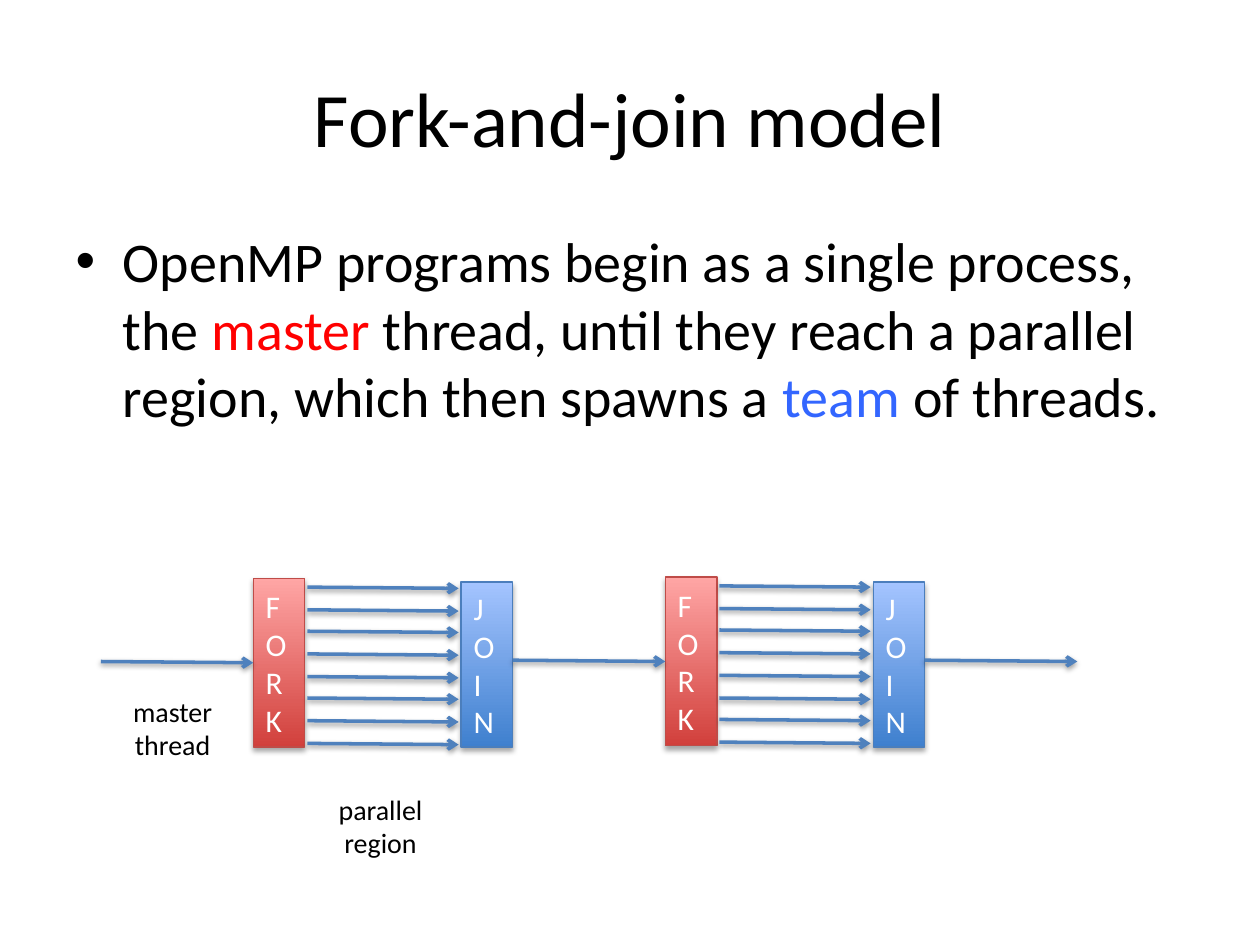
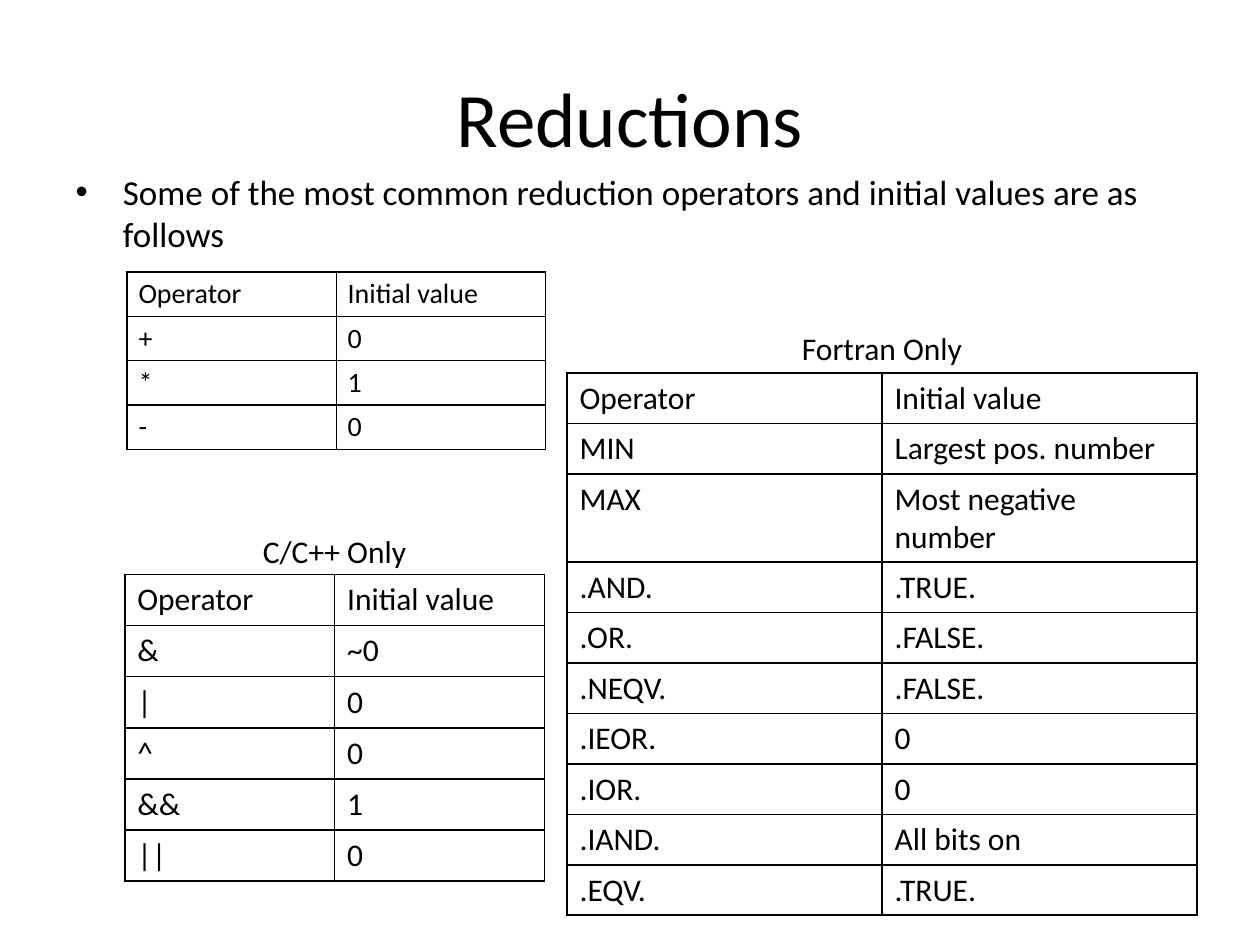
from lxml.etree import SubElement
from pptx import Presentation
from pptx.dml.color import RGBColor
from pptx.enum.shapes import MSO_CONNECTOR, MSO_SHAPE
from pptx.enum.text import MSO_AUTO_SIZE, PP_ALIGN
from pptx.oxml.ns import qn
from pptx.util import Pt

PX = 9144  # EMU per px, 100 px to the inch
FONT = "Calibri"
BLACK = RGBColor(0x00, 0x00, 0x00)
WHITE = RGBColor(0xFF, 0xFF, 0xFF)
RED = RGBColor(0xFF, 0x00, 0x00)
BLUE = RGBColor(0x33, 0x66, 0xFF)
ARROW = RGBColor(0x4F, 0x81, 0xBD)
FORK_DARK = RGBColor(0xD1, 0x40, 0x3C)
FORK_LIGHT = RGBColor(0xFF, 0xA6, 0xA5)
FORK_LINE = RGBColor(0xBF, 0x4C, 0x48)
JOIN_DARK = RGBColor(0x3F, 0x80, 0xCE)
JOIN_LIGHT = RGBColor(0xA4, 0xC4, 0xFF)
JOIN_LINE = RGBColor(0x4B, 0x7E, 0xBC)

BAR_W = 41
TRUNK_W = 121
JOIN_OFFSET = 165
THREADS = 8
THREAD_GAP = 17.7

COMMON_OPERATORS = [("+", "0"), ("*", "1"), ("-", "0")]
C_OPERATORS = [("&", "~0"), ("|", "0"), ("^", "0"), ("&&", "1"), ("||", "0")]
FORTRAN_OPERATORS = [
    ("MIN", "Largest pos. number"),
    ("MAX", "Most negative number"),
    (".AND.", ".TRUE."),
    (".OR.", ".FALSE."),
    (".NEQV.", ".FALSE."),
    (".IEOR.", "0"),
    (".IOR.", "0"),
    (".IAND.", "All bits on"),
    (".EQV.", ".TRUE."),
]


def px(*lengths):
    return [round(n * PX) for n in lengths]


def set_font(p, size, color=BLACK):
    p.font.name = FONT
    p.font.size = Pt(size)
    p.font.color.rgb = color


def place(sp, box):
    sp.left, sp.top, sp.width, sp.height = px(*box)


def add_content_slide(prs, title, runs, body_box, size):
    """Add a titled slide with one bullet made of (text, color) runs."""
    slide = prs.slides.add_slide(prs.slide_layouts[1])
    title_sp, body = slide.placeholders
    place(title_sp, (50, 30, 900, 125))
    title_sp.text_frame.text = title
    set_font(title_sp.text_frame.paragraphs[0], 44)
    place(body, body_box)
    body.text_frame.auto_size = MSO_AUTO_SIZE.NONE
    p = body.text_frame.paragraphs[0]
    p.space_before = Pt(0)
    set_font(p, size)
    for text, color in runs:
        r = p.add_run()
        r.text = text
        if color != BLACK:
            r.font.color.rgb = color
    return slide


def add_shadow(effects, distance, alpha):
    shadow = SubElement(effects, qn("a:outerShdw"), blurRad=str(Pt(3.1)),
                        dist=str(Pt(distance)), dir="5400000", rotWithShape="0")
    color = SubElement(shadow, qn("a:srgbClr"), val="000000")
    SubElement(color, qn("a:alpha"), val=str(alpha * 1000))


def add_arrow(slide, x, y, width):
    """Draw an arrow to the right that drops by one px."""
    line = slide.shapes.add_connector(MSO_CONNECTOR.STRAIGHT,
                                      *px(x, y, x + width, y + 1))
    line.line.color.rgb = ARROW
    line.line.width = Pt(2)
    SubElement(line.line._get_or_add_ln(), qn("a:tailEnd"), type="arrow")
    effects = SubElement(line._element.spPr, qn("a:effectLst"))
    add_shadow(effects, 1.6, 38)
    return line


def add_bar(slide, word, box, dark, light, outline):
    """Draw a shaded bar with one letter of the word to a line."""
    sp = slide.shapes.add_shape(MSO_SHAPE.RECTANGLE, *px(*box))
    sp.fill.gradient()
    sp.fill.gradient_angle = 90
    for stop, position, color in zip(sp.fill.gradient_stops, (0, 1), (dark, light)):
        stop.position = position
        stop.color.rgb = color
    sp.line.color.rgb = outline
    sp.line.width = Pt(0.75)
    sp.shadow.inherit = False
    add_shadow(sp._element.spPr.find(qn("a:effectLst")), 1.8, 35)
    tf = sp.text_frame
    tf.text = "\n".join(word)
    for p in tf.paragraphs:
        p.alignment = PP_ALIGN.LEFT
        set_font(p, 18, WHITE)
    return sp


def add_parallel_region(slide, left, top):
    """Draw a fork, its threads and the join; return the fork."""
    fork = add_bar(slide, "FORK", (left, top, BAR_W, 134),
                   FORK_DARK, FORK_LIGHT, FORK_LINE)
    for i in range(THREADS):
        add_arrow(slide, left + 43, round(top + 7 + i * THREAD_GAP), 120)
    add_bar(slide, "JOIN", (left + JOIN_OFFSET, 462, BAR_W, 131),
            JOIN_DARK, JOIN_LIGHT, JOIN_LINE)
    return fork


def add_label(slide, text, box, size):
    tf = slide.shapes.add_textbox(*px(*box)).text_frame
    tf.word_wrap = True
    tf.text = text
    for p in tf.paragraphs:
        p.alignment = PP_ALIGN.CENTER
        set_font(p, size)


def add_borders(cell):
    tc_pr = cell._tc.get_or_add_tcPr()
    for side in ("lnL", "lnR", "lnT", "lnB"):
        ln = SubElement(tc_pr, qn(f"a:{side}"), w=str(Pt(1)))
        fill = SubElement(ln, qn("a:solidFill"))
        SubElement(fill, qn("a:srgbClr"), val=str(BLACK))


def add_operator_table(slide, operators, left, top, width, row_height, size,
                       margins=(10, 5)):
    rows = [("Operator", "Initial value"), *operators]
    table = slide.shapes.add_table(
        len(rows), 2, *px(left, top, width, row_height * len(rows))).table
    table.first_row = table.horz_banding = False
    for cell, text in zip(table.iter_cells(), (t for row in rows for t in row)):
        add_borders(cell)
        cell.fill.background()
        cell.margin_left, cell.margin_top = px(*margins)
        cell.margin_right, cell.margin_bottom = px(*margins)
        cell.text = text
        set_font(cell.text_frame.paragraphs[0], size)


def build_fork_join(prs):
    runs = [
        ("OpenMP programs begin as a single process, the ", BLACK),
        ("master ", RED),
        ("thread, until they reach a parallel region, which then spawns a ", BLACK),
        ("team ", BLUE),
        ("of threads.", BLACK),
    ]
    slide = add_content_slide(prs, "Fork-and-join model", runs,
                              (50, 175, 900, 542), 32)
    for left, top in ((201, 459), (528, 458)):
        fork = add_parallel_region(slide, left, top)
        trunk = add_arrow(slide, left - TRUNK_W, top + 66, TRUNK_W)
        trunk.end_connect(fork, 1)
    add_arrow(slide, left + JOIN_OFFSET + BAR_W, 524, TRUNK_W)
    add_label(slide, "master\nthread", (86, 546, 102, 64), 16)
    add_label(slide, "parallel region", (251, 624, 102, 64), 16)


def build_reductions(prs):
    text = ("Some of the most common reduction operators and initial values "
            "are as follows")
    slide = add_content_slide(prs, "Reductions", [(text, BLACK)],
                              (50, 130, 900, 68), 20)
    add_operator_table(slide, COMMON_OPERATORS, 101, 216, 332, 35, 16, (9, 4))
    add_operator_table(slide, C_OPERATORS, 99, 456, 333, 40, 18)
    add_label(slide, "C/C++ Only", (99, 417, 333, 40), 18)
    add_operator_table(slide, FORTRAN_OPERATORS, 450, 296, 500, 36, 18)
    add_label(slide, "Fortran Only", (450, 256, 500, 40), 18)


def main():
    prs = Presentation()
    prs.slide_width, prs.slide_height = px(1000, 750)
    build_fork_join(prs)
    build_reductions(prs)
    prs.save("out.pptx")


if __name__ == "__main__":
    main()
